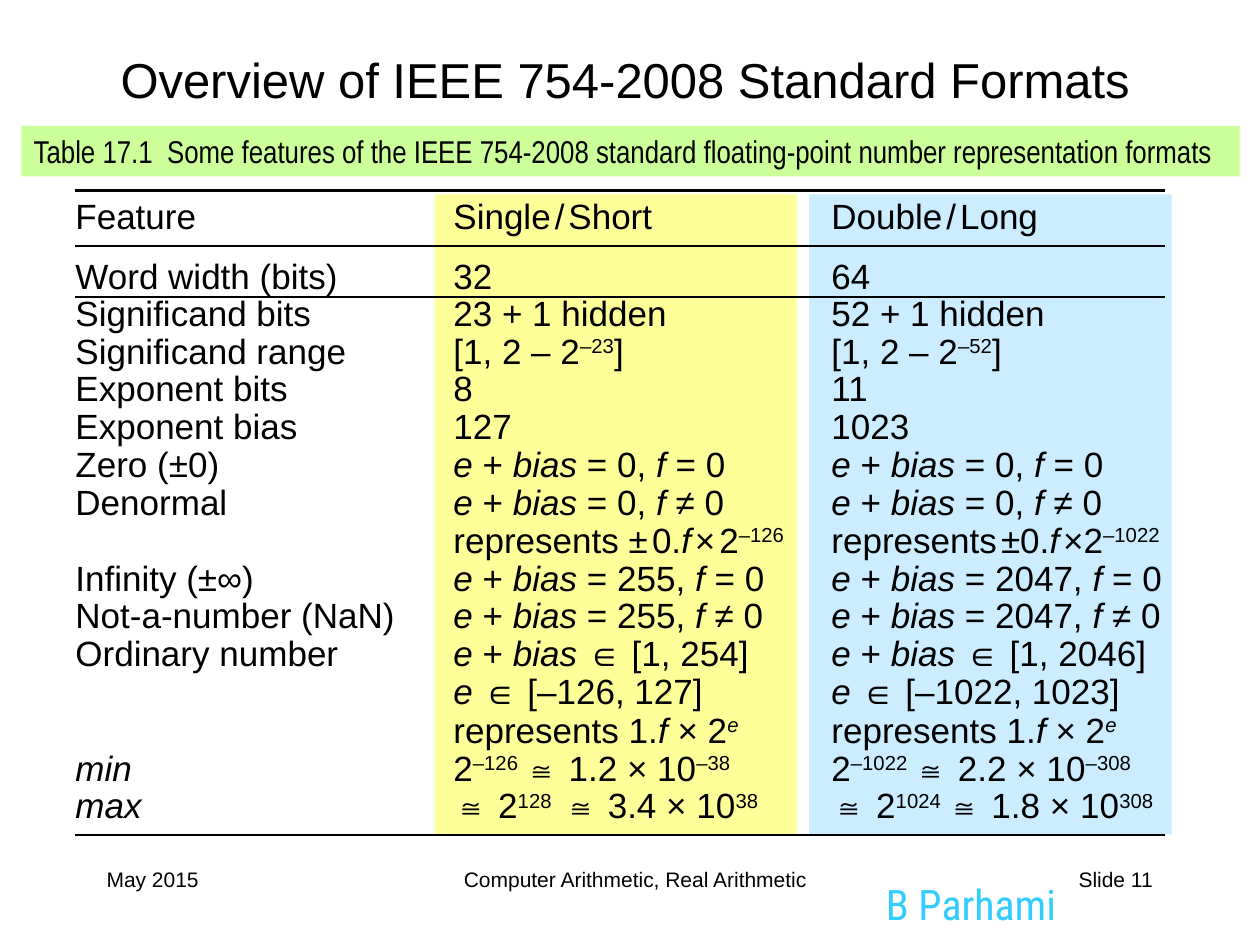
from dataclasses import dataclass

import pptx
import pptx.dml.color
import pptx.enum.shapes
import pptx.enum.text
import pptx.oxml
import pptx.oxml.ns
import pptx.util
from pptx.util import Cm

ALIGN = pptx.enum.text.PP_ALIGN
ANCHOR = pptx.enum.text.MSO_ANCHOR


class Theme:
    font = "Arial"
    caption_font = "Arial Narrow"
    author_font = "Roboto Condensed"
    text = "000000"
    author = "33CCFF"
    caption_band = "CCFF99"
    single_band = "FFFF99"
    double_band = "CCECFF"
    title_size = 28
    author_size = 24
    table_size = 20
    caption_size = 18
    footer_size = 12
    thin_space_size = 8
    line_pitch = 21
    rule_width = 1.5


@dataclass
class Box:
    left: float
    top: float
    width: float
    height: float

    def lengths(self):
        return Cm(self.left), Cm(self.top), Cm(self.width), Cm(self.height)


ROWS = [
    ("Feature", "Single~/~Short", "Double~/~Long"),
    ("Word width (bits)", "32", "64"),
    ("Significand bits", "23 + 1 hidden", "52 + 1 hidden"),
    ("Significand range", "[1, 2 – 2^–23^]", "[1, 2 – 2^–52^]"),
    ("Exponent bits", "8", "11"),
    ("Exponent bias", "127", "1023"),
    ("Zero (±0)", "*e* + *bias* = 0, *f* = 0", "*e* + *bias* = 0, *f* = 0"),
    ("Denormal", "*e* + *bias* = 0, *f* ≠ 0", "*e* + *bias* = 0, *f* ≠ 0"),
    ("", "represents ±~0.*f*~×~2^–126^", "represents~±0.*f*~×2^–1022^"),
    ("Infinity (±∞)", "*e* + *bias* = 255, *f* = 0", "*e* + *bias* = 2047, *f* = 0"),
    ("Not-a-number (NaN)", "*e* + *bias* = 255, *f* ≠ 0", "*e* + *bias* = 2047, *f* ≠ 0"),
    ("Ordinary number", "*e* + *bias* ∈ [1, 254]", "*e* + *bias* ∈ [1, 2046]"),
    ("", "*e* ∈ [–126, 127]", "*e* ∈ [–1022, 1023]"),
    ("", "represents 1.*f* × 2^*e*^", "represents 1.*f* × 2^*e*^"),
    ("*min*", "2^–126 ^≅ 1.2 × 10^–38^", "2^–1022 ^≅ 2.2 × 10^–308^"),
    ("*max*", "≅ 2^128  ^≅ 3.4 × 10^38^", "≅ 2^1024 ^≅ 1.8 × 10^308^"),
]


def add_run(paragraph, text, size, font=Theme.font, color=Theme.text):
    run = paragraph.add_run()
    run.text = text
    run.font.size = pptx.util.Pt(size)
    run.font.name = font
    run.font.color.rgb = pptx.dml.color.RGBColor.from_string(color)
    return run


def add_math_runs(paragraph, markup):
    """* toggles italic, ^ toggles superscript, ~ is a thin space."""
    italic = raised = False
    pending = ""

    def flush():
        if pending:
            run = add_run(paragraph, pending, Theme.table_size)
            run.font.italic = italic
            if raised:
                run.font._element.set("baseline", "30000")

    for character in markup:
        if character not in "*^~":
            pending += character
            continue
        flush()
        pending = ""
        if character == "*":
            italic = not italic
        elif character == "^":
            raised = not raised
        else:
            add_run(paragraph, " ", Theme.thin_space_size)
    flush()


def add_band(slide, box, color):
    shape = slide.shapes.add_shape(
        pptx.enum.shapes.MSO_SHAPE.RECTANGLE, *box.lengths())
    shape.shadow.inherit = False
    shape.fill.solid()
    shape.fill.fore_color.rgb = pptx.dml.color.RGBColor.from_string(color)
    shape.line.fill.background()
    return shape


def add_title(slide, box, text):
    title = slide.shapes.title
    title.left, title.top, title.width, title.height = box.lengths()
    title.text_frame.vertical_anchor = ANCHOR.MIDDLE
    paragraph = title.text_frame.paragraphs[0]
    paragraph.alignment = ALIGN.CENTER
    add_run(paragraph, text, Theme.title_size)


def add_caption(slide, box, text):
    frame = add_band(slide, box, Theme.caption_band).text_frame
    frame.word_wrap = True
    frame.vertical_anchor = ANCHOR.TOP
    frame.paragraphs[0].alignment = ALIGN.LEFT
    add_run(frame.paragraphs[0], text, Theme.caption_size, Theme.caption_font)


def add_label(slide, box, text, alignment, size=Theme.footer_size,
              font=Theme.font, color=Theme.text):
    frame = slide.shapes.add_textbox(*box.lengths()).text_frame
    frame.word_wrap = True
    frame.paragraphs[0].alignment = alignment
    add_run(frame.paragraphs[0], text, size, font, color)


def add_rule(cell, side):
    cell._tc.get_or_add_tcPr().append(pptx.oxml.parse_xml(
        f'<a:{side} {pptx.oxml.ns.nsdecls("a")} w="{pptx.util.Pt(Theme.rule_width)}">'
        f'<a:solidFill><a:srgbClr val="{Theme.text}"/></a:solidFill></a:{side}>'))


def fill_cell(cell, markup, anchor, rules):
    cell.margin_left = cell.margin_right = cell.margin_top = cell.margin_bottom = 0
    cell.vertical_anchor = anchor
    for side in rules:
        add_rule(cell, side)
    cell.fill.background()
    paragraph = cell.text_frame.paragraphs[0]
    paragraph.line_spacing = pptx.util.Pt(Theme.line_pitch)
    add_math_runs(paragraph, markup)


def add_formats_table(slide, box):
    add_band(slide, Box(box.left + 7.24, box.top + 0.08, 7.31, 12.9), Theme.single_band)
    add_band(slide, Box(box.left + 14.79, box.top + 0.08, 7.31, 12.9), Theme.double_band)

    table = slide.shapes.add_table(len(ROWS), 3, *box.lengths()).table
    table.first_row = table.horz_banding = False
    style = table._tbl.tblPr.find(pptx.oxml.ns.qn("a:tableStyleId"))
    style.text = "{2D5ABB26-0587-4C30-8999-92F81FD0307C}"
    for column, width in zip(table.columns, (7.62, 7.62, box.width - 2 * 7.62)):
        column.width = Cm(width)

    last = len(ROWS) - 1
    heights = {0: 1.12, 1: 1.02, last: 0.93}
    anchors = {1: ANCHOR.BOTTOM, last: ANCHOR.TOP}
    rules = {0: ("lnT", "lnB"), 1: ("lnT",), last: ("lnB",)}
    for index, row in enumerate(ROWS):
        table.rows[index].height = Cm(heights.get(index, 0.76))
        for column, markup in enumerate(row):
            fill_cell(table.cell(index, column), markup,
                      anchors.get(index, ANCHOR.MIDDLE), rules.get(index, ()))


def add_footer(slide, box):
    side = 5.28
    add_label(slide, Box(box.left, box.top, side, box.height), "May 2015", ALIGN.LEFT)
    add_label(slide, Box(box.left + 4.24, box.top, 13.34, box.height),
              "Computer Arithmetic, Real Arithmetic", ALIGN.CENTER)
    add_label(slide, Box(box.left + box.width - side, box.top, side, box.height),
              "Slide 11", ALIGN.RIGHT)
    add_label(slide, Box(box.left + 15.6, box.top + 0.23, 4.15, 1.07), "B Parhami",
              ALIGN.CENTER, Theme.author_size, Theme.author_font, Theme.author)


def main():
    presentation = pptx.Presentation()
    presentation.slide_width, presentation.slide_height = Cm(25.4), Cm(19.05)
    slide = presentation.slides.add_slide(presentation.slide_layouts[5])
    add_title(slide, Box(1.07, 0.43, 23.06, 2.34),
              "Overview of IEEE 754-2008 Standard Formats")
    add_formats_table(slide, Box(1.52, 3.84, 21.97, 12.95))
    add_caption(slide, Box(0.43, 2.54, 24.56, 1.02),
                "Table 17.1  Some features of the IEEE 754-2008 standard "
                "floating-point number representation formats")
    add_footer(slide, Box(1.9, 17.35, 21.59, 1.27))
    presentation.save("out.pptx")


if __name__ == "__main__":
    main()
